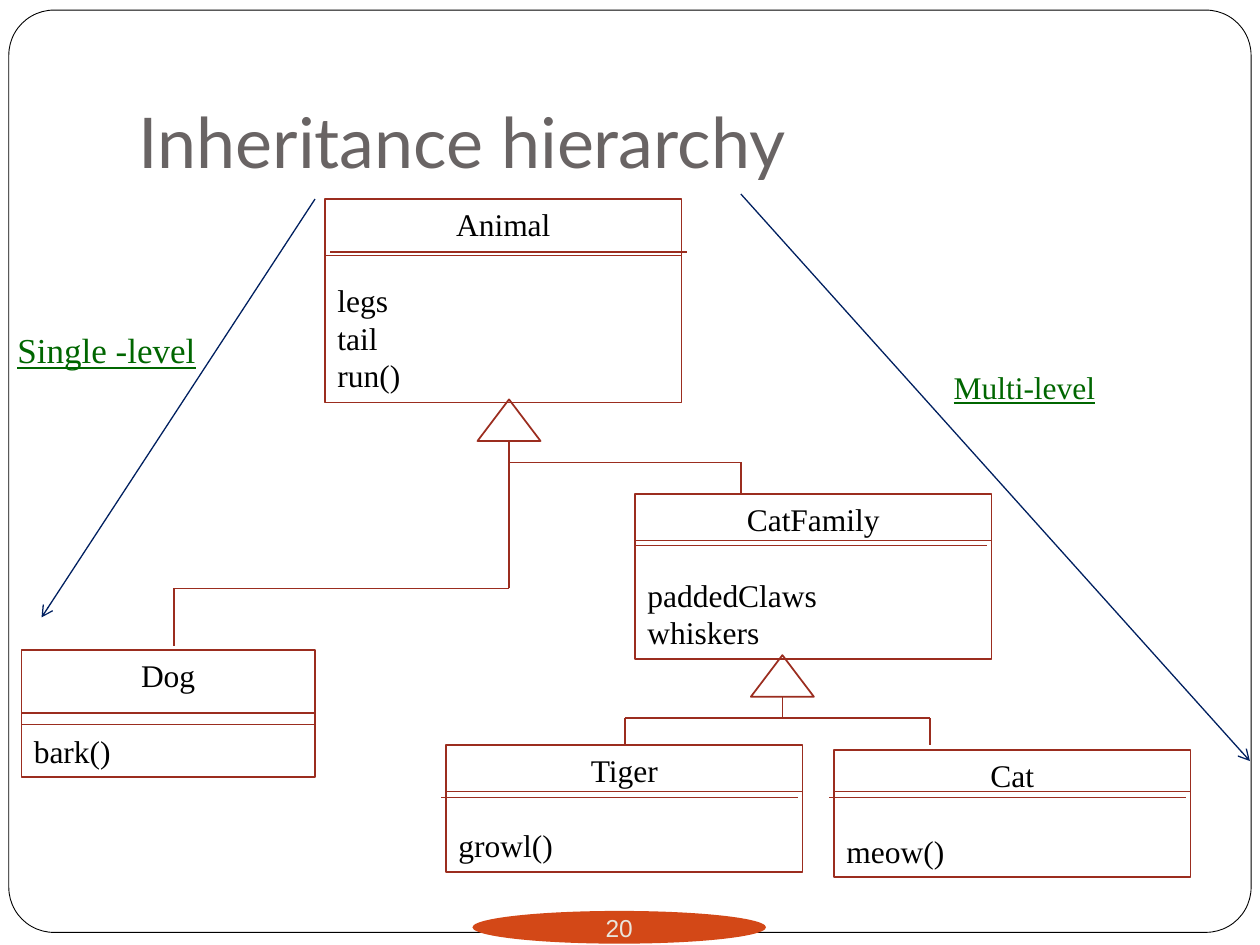
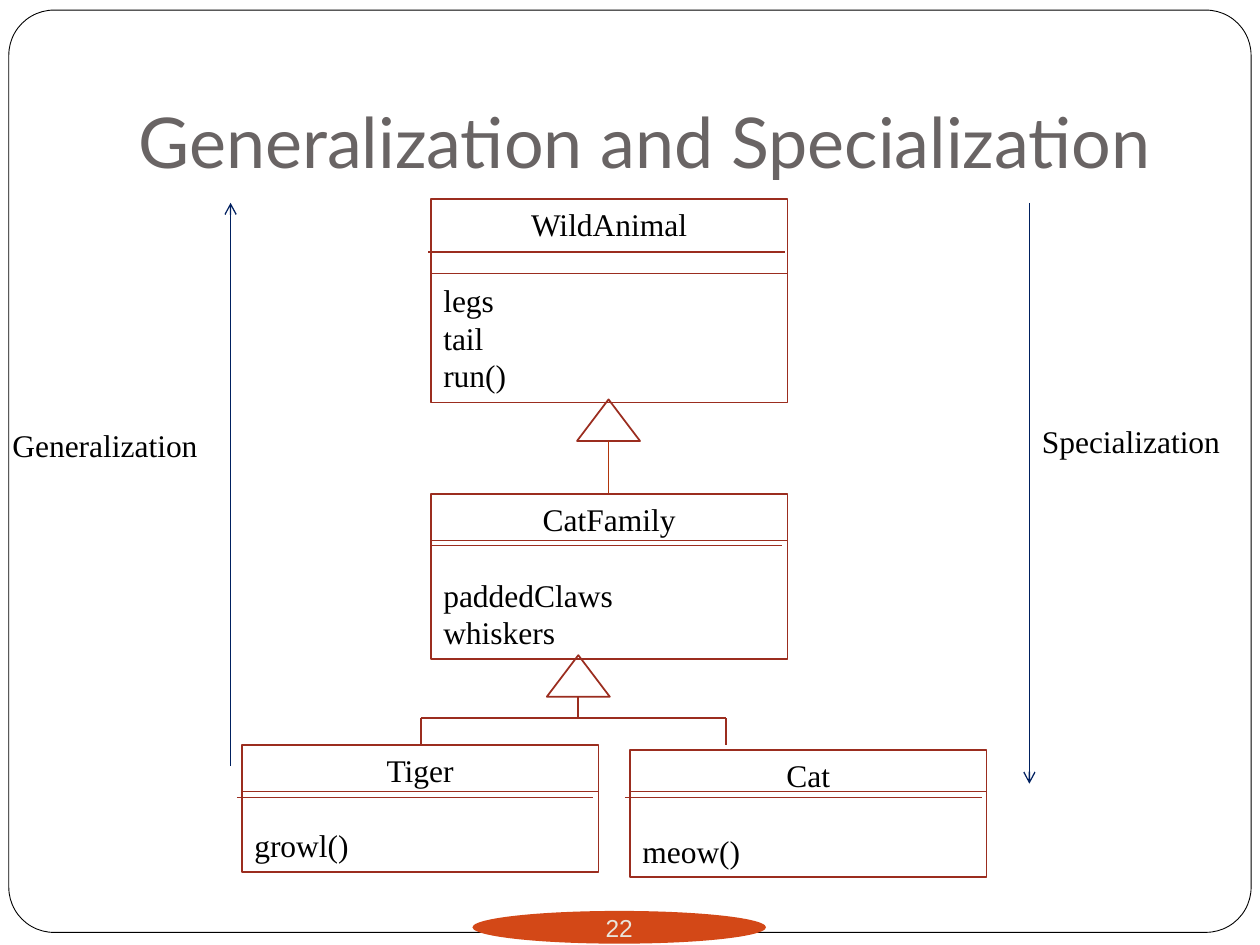
import pptx
import pptx.util
import pptx.dml.color
import pptx.enum.shapes
import pptx.enum.text
import pptx.oxml
import pptx.oxml.ns

Inches, Pt = pptx.util.Inches, pptx.util.Pt
SHAPE = pptx.enum.shapes.MSO_SHAPE
ALIGN = pptx.enum.text.PP_ALIGN
ANCHOR = pptx.enum.text.MSO_ANCHOR
FIT = pptx.enum.text.MSO_AUTO_SIZE

COLORS = {"paper": "FFFFFF", "frame": "000000", "title": "696464", "badge": "D34817",
          "number": "E9E5DC", "text": "000000", "uml": "9B2D1F", "stem": "B1360B",
          "arrow": "002060", "label": "006600"}
SERIF = "Times New Roman"
CLASS_WIDTH, CLASS_SIZE, LEADING = 2.83, 18, 1.2
LINE_HEIGHT, INSET = 0.303, 0.05
TRIANGLE = (0.5, 0.33)

# Class boxes: name, members, left, top, width, dividers.
# Dividers: distance below the top, shift of the left end, shift of the right end.
LEAF_DIVIDERS = [(0.37, 0, 0), (0.42, -0.04, -0.04)]
CAT_BRANCH = {
    "classes": [
        ("CatFamily", ["paddedClaws", "whiskers"], 5.04, 3.92, CLASS_WIDTH,
         [(0.37, 0, 0), (0.41, 0, -0.04)]),
        ("Tiger", ["growl()"], 3.54, 5.91, CLASS_WIDTH, LEAF_DIVIDERS),
        ("Cat", ["meow()"], 6.62, 5.95, CLASS_WIDTH, [(0.33, 0, 0), (0.38, -0.04, -0.04)]),
    ],
    "triangles": [(6.21, 5.2)],
    "branches": [("uml", 1, [(6.21, 5.53), (6.21, 5.7)]),
                 ("uml", 1, [(4.96, 5.91), (4.96, 5.7), (7.38, 5.7), (7.38, 5.91)])],
}

# Labels: text, left, top, width, size. Triangles are given by their tip.
SLIDES = [
    {"title": "Inheritance hierarchy", "number": "20", "cat_shift": 0,
     "classes": [
         ("Animal", ["legs", "tail", "run()"], 2.58, 1.58, CLASS_WIDTH,
          [(0.45, 0, 0), (0.42, 0.04, 0.04)]),
         ("Dog", ["bark()"], 0.17, 5.16, 2.33, [(0.5, 0, 0), (0.59, 0, 0)])],
     "triangles": [(4.04, 3.17)],
     "branches": [("uml", 1, [(4.04, 3.5), (4.04, 4.67), (1.38, 4.67), (1.38, 5.13)]),
                  ("uml", 1, [(4.04, 3.67), (5.88, 3.67), (5.88, 3.92)])],
     "arrows": [((2.5, 1.58), (0.33, 4.9)), ((5.88, 1.54), (9.92, 6.04))],
     "labels": [("Single -level", 0.04, 2.56, 1.73, 20), ("Multi-level", 7.47, 2.87, 1.34, 18)],
     "label_style": {"color": "label", "underline": True, "wrap": False}},
    {"title": "Generalization and Specialization", "number": "22", "cat_shift": -1.62,
     "classes": [
         ("WildAnimal", ["legs", "tail", "run()"], 3.42, 1.58, CLASS_WIDTH,
          [(0.42, -0.02, -0.02), (0.59, 0, 0)])],
     "triangles": [(4.83, 3.17)],
     "branches": [("stem", 0.75, [(4.83, 3.5), (4.83, 3.92)])],
     "arrows": [((8.17, 1.61), (8.17, 6.22)), ((1.83, 6.08), (1.83, 1.61))],
     "labels": [("Specialization", 8.17, 3.3, 1.75, 18), ("Generalization", 0, 3.33, 2.08, 18)],
     "label_style": {"color": "text", "underline": None, "wrap": True}},
]


def rgb(name):
    """Return a named colour."""
    return pptx.dml.color.RGBColor.from_string(COLORS[name])


def set_all(target, values):
    """Set every attribute given in a dict."""
    for name, value in values.items():
        setattr(target, name, value)


def write(paragraph, text, color, font, align=ALIGN.LEFT, **values):
    """Fill a paragraph with one formatted run."""
    run = paragraph.add_run()
    run.text = text
    set_all(run.font, font)
    run.font.color.rgb = rgb(color)
    set_all(paragraph, {"alignment": align, **values})


def add_shape(slide, kind, box, fill=None, line=None, weight=1):
    """Add a flat preset shape; box is left, top, width, height."""
    shape = slide.shapes.add_shape(kind, *map(Inches, box))
    shape.shadow.inherit = False
    if fill:
        shape.fill.solid()
        shape.fill.fore_color.rgb = rgb(fill)
    else:
        shape.fill.background()
    if line:
        shape.line.color.rgb = rgb(line)
        shape.line.width = Pt(weight)
    else:
        shape.line.fill.background()
    return shape


def add_line(slide, start, end, color="uml", weight=0.75, arrow=False):
    """Add a straight line, with an open arrowhead at its end if asked."""
    line = slide.shapes.add_connector(pptx.enum.shapes.MSO_CONNECTOR.STRAIGHT,
                                      *map(Inches, start + end))
    line.line.color.rgb = rgb(color)
    line.line.width = Pt(weight)
    if arrow:
        head = pptx.oxml.parse_xml(
            f'<a:tailEnd {pptx.oxml.ns.nsdecls("a")} type="arrow"/>')
        line.get_or_add_ln().append(head)
    line.element.spPr.append(
        pptx.oxml.parse_xml(f'<a:effectLst {pptx.oxml.ns.nsdecls("a")}/>'))


def add_class(slide, name, members, left, top, width, dividers):
    """Draw a class box: centred name, gap of one line, members and dividers."""
    height = (len(members) + 2) * LINE_HEIGHT + 2 * INSET
    shape = add_shape(slide, SHAPE.RECTANGLE, (left, top, width, height), "paper", "uml")
    frame = shape.text_frame
    set_all(frame, {"word_wrap": True, "vertical_anchor": ANCHOR.TOP,
                    "auto_size": FIT.SHAPE_TO_FIT_TEXT})
    font = {"name": SERIF, "size": Pt(CLASS_SIZE)}
    leading = Pt(CLASS_SIZE * LEADING)
    write(frame.paragraphs[0], name, "text", font, ALIGN.CENTER, line_spacing=leading)
    for index, member in enumerate(members):
        write(frame.add_paragraph(), member, "text", font, line_spacing=leading,
              space_before=Pt(0) if index else leading)
    for drop, start, end in dividers:
        add_line(slide, (left + start, top + drop), (left + width + end, top + drop))


def add_tree(slide, tree, shift=0):
    """Draw classes, inheritance triangles and branches, moved sideways by shift."""
    for name, members, left, top, width, dividers in tree["classes"]:
        add_class(slide, name, members, left + shift, top, width, dividers)
    for tip, top in tree["triangles"]:
        add_shape(slide, SHAPE.ISOSCELES_TRIANGLE,
                  (tip + shift - TRIANGLE[0] / 2, top, *TRIANGLE), line="uml")
    for color, weight, points in tree["branches"]:
        points = [(x + shift, y) for x, y in points]
        for start, end in zip(points, points[1:]):
            add_line(slide, start, end, color, weight)


def add_label(slide, text, left, top, width, size, style):
    """Add a one-line serif label."""
    height = size * LEADING / 72 + 2 * INSET
    box = slide.shapes.add_textbox(*map(Inches, (left, top, width, height)))
    set_all(box.text_frame, {"word_wrap": style["wrap"], "auto_size": FIT.SHAPE_TO_FIT_TEXT})
    font = {"name": SERIF, "size": Pt(size), "underline": style["underline"]}
    write(box.text_frame.paragraphs[0], text, style["color"], font,
          line_spacing=Pt(size * LEADING))


def add_title(slide, text):
    """Place and format the title placeholder."""
    title = slide.shapes.title
    set_all(title, {"left": Inches(1), "top": Inches(0.3),
                    "width": Inches(8.5), "height": Inches(1.25)})
    set_all(title.text_frame, {"vertical_anchor": ANCHOR.BOTTOM, "word_wrap": True,
                               "auto_size": FIT.NONE, "margin_bottom": Inches(0.1)})
    write(title.text_frame.paragraphs[0], text, "title", {"name": "Lato", "size": Pt(40)})


def add_badge(slide, number):
    """Add the oval that holds the slide number."""
    badge = add_shape(slide, SHAPE.OVAL, (3.75, 7.23, 2.33, 0.26), "badge")
    margins = dict.fromkeys(["margin_left", "margin_top", "margin_right", "margin_bottom"], 0)
    set_all(badge.text_frame, {"word_wrap": False, "vertical_anchor": ANCHOR.MIDDLE, **margins})
    write(badge.text_frame.paragraphs[0], number, "number",
          {"name": "Arial", "size": Pt(14)}, ALIGN.CENTER)


def add_master_frame(presentation, slide):
    """Draw the rounded frame and move it behind everything on the slide master."""
    frame = add_shape(slide, SHAPE.ROUNDED_RECTANGLE, (0.07, 0.08, 9.86, 7.32),
                      "paper", "frame", 0.5)
    frame.adjustments[0] = 0.049
    presentation.slide_master.shapes.element.insert(2, frame.element)


def build():
    """Build and save the presentation."""
    presentation = pptx.Presentation()
    set_all(presentation, {"slide_width": Inches(10), "slide_height": Inches(7.5)})
    title_only = presentation.slide_layouts[5]
    for content in SLIDES:
        slide = presentation.slides.add_slide(title_only)
        if len(presentation.slides) == 1:
            add_master_frame(presentation, slide)
        add_title(slide, content["title"])
        add_badge(slide, content["number"])
        add_tree(slide, content)
        add_tree(slide, CAT_BRANCH, content["cat_shift"])
        for start, end in content["arrows"]:
            add_line(slide, start, end, "arrow", arrow=True)
        for label in content["labels"]:
            add_label(slide, *label, content["label_style"])
    presentation.save("out.pptx")


build()
